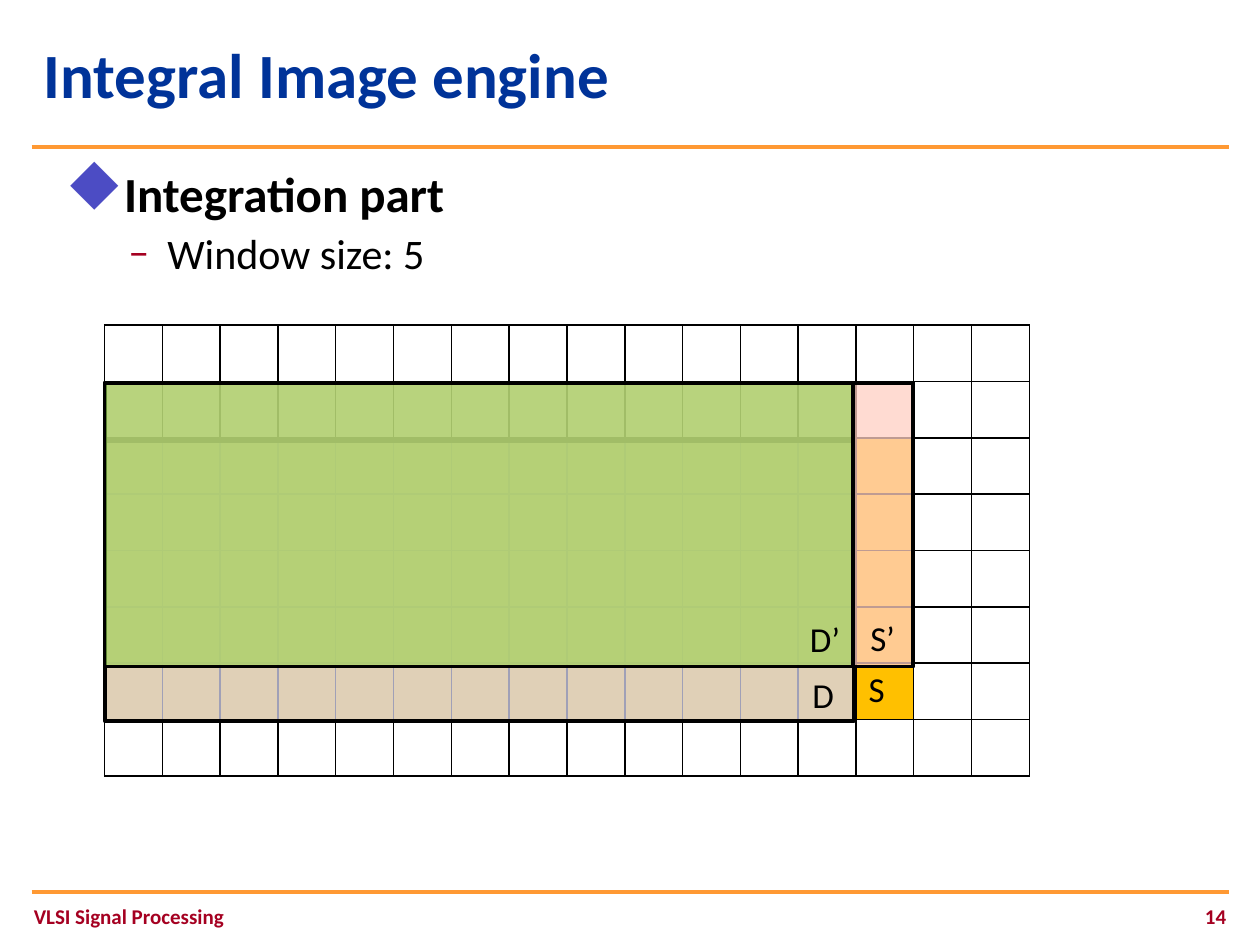
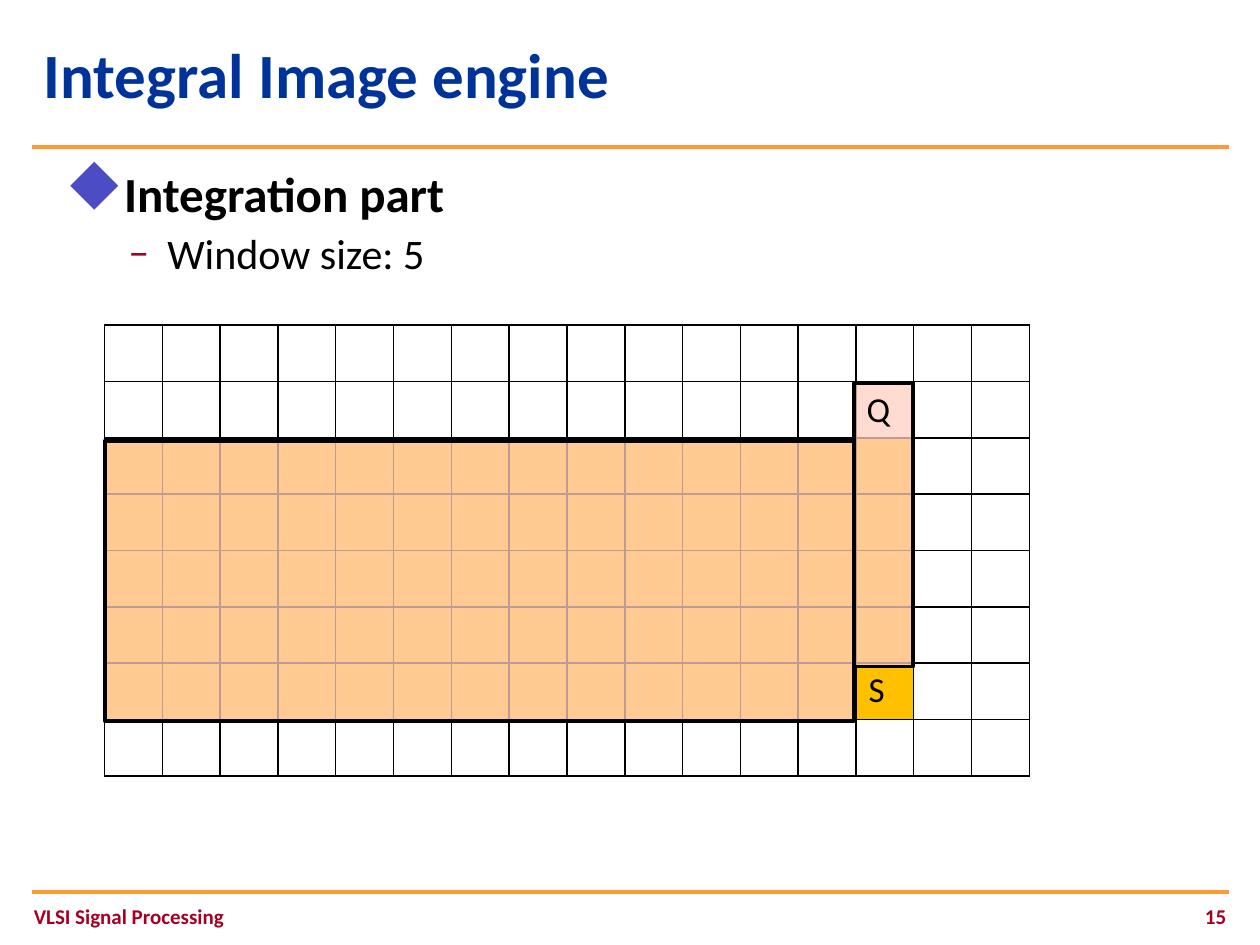
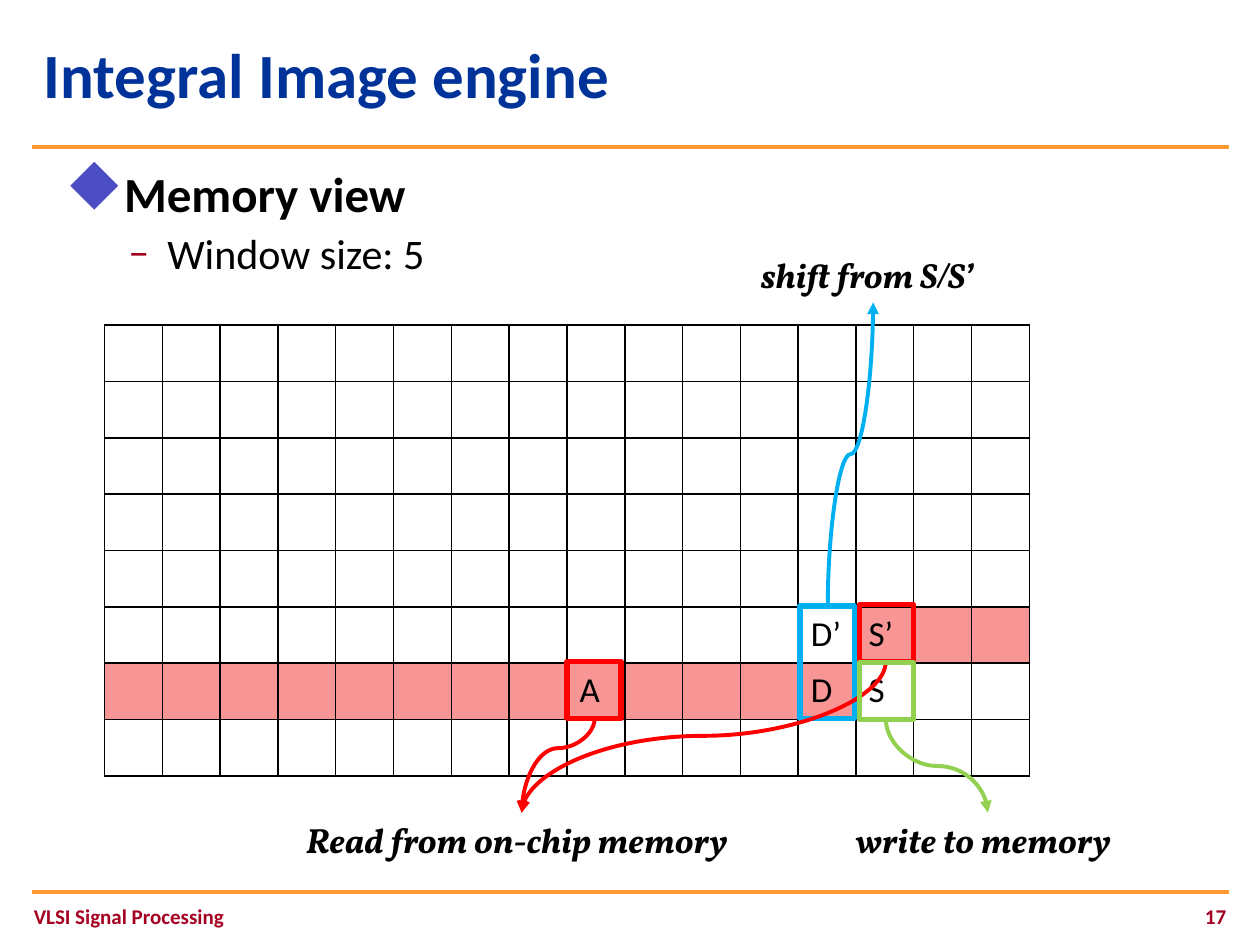
from dataclasses import dataclass
from itertools import product
from lxml.etree import SubElement
from pptx import Presentation
from pptx.dml.color import RGBColor
from pptx.enum.shapes import MSO_CONNECTOR, MSO_SHAPE
from pptx.enum.text import MSO_ANCHOR, MSO_AUTO_SIZE, PP_ALIGN
from pptx.oxml.ns import qn
from pptx.util import Inches, Pt


@dataclass(frozen=True)
class Theme:
    navy: str = "003399"
    wine: str = "A50021"
    iris: str = "4C4CC4"
    rule: str = "FF9933"
    ink: str = "000000"
    gold: str = "FFC000"
    rose: str = "F89696"
    peach: str = "FFD0C3"
    mist: str = "D6D6F5"
    green: str = "92D050"
    red: str = "FF0000"
    blue: str = "00B0F0"
    sans: str = "Calibri"
    serif: str = "Vollkorn"
    signs: str = "Wingdings"
    title: int = 36
    head: int = 28
    sub: int = 24
    label: int = 20
    foot: int = 12


T = Theme()


def write(para, words, color, form):
    para.text = words
    para.font.color.rgb = RGBColor.from_string(color)
    for key, val in form.items():
        setattr(para.font, key, val)


def add_text(slide, at, words, color, form, frame, lay):
    box = slide.shapes.add_textbox(*map(Inches, at)).text_frame
    for key, val in frame.items():
        setattr(box, key, val)
    para = box.paragraphs[0]
    for key, val in lay.items():
        setattr(para, key, val)
    write(para, words, color, form)


bold = {"name": T.sans, "bold": True}
title = {**bold, "size": Pt(T.title)}
foot = {**bold, "size": Pt(T.foot)}
label = {"name": T.sans, "size": Pt(T.label), "bold": False, "italic": False}
note = {"name": T.serif, "size": Pt(T.label), "bold": True, "italic": True}
snug = {"word_wrap": False, "auto_size": MSO_AUTO_SIZE.SHAPE_TO_FIT_TEXT}
low = {"word_wrap": True, "margin_top": Inches(0.25)}
mid = {"word_wrap": True, "vertical_anchor": MSO_ANCHOR.MIDDLE}

levels = [
    ({"typeface": T.signs, "charset": "2"}, "u", T.iris, 120, 0.38, -0.38,
     {**bold, "size": Pt(T.head)}, {"space_after": Pt(1.4)}),
    ({"typeface": T.sans}, "–", T.wine, 100, 0.81, -0.31,
     {**label, "size": Pt(T.sub)}, {"space_before": Pt(1.2), "space_after": Pt(1.2)}),
]

left, top, side, span = 0.83, 2.58, 8, (3.67, 3.58)
window = [(T.gold, range(2, 7), range(14))]
stored = [(T.rose, range(6, 7), range(13)), (T.rose, range(5, 6), range(13, 16))]

pages = [
    ("14", "Integration part", window, {(6, 13): "S"}, [
        ("box", (0.83, 3.5, 5.95, 2.22), T.mist, 75, T.ink, 2.25),
        ("box", (0.83, 3.04, 6.42, 2.25), T.peach, 75, T.ink, 2.25),
        ("text", (6.35, 5.3, 0.37, 0.44), "D", label),
        ("text", (6.81, 4.84, 0.4, 0.44), "S’", label),
        ("box", (0.83, 3.04, 5.94, 2.25), T.green, 65, T.ink, 2.25),
        ("text", (6.33, 4.85, 0.44, 0.44), "D’", label),
    ]),
    ("15", "Integration part", window, {(6, 13): "S"}, [
        ("box", (0.83, 3.5, 5.95, 2.22), T.peach, 75, T.ink, 2.25),
        ("box", (6.78, 3.04, 0.47, 2.25), T.peach, 75, T.ink, 2.25),
        ("text", (6.78, 3.03, 0.4, 0.44), "Q", label),
    ]),
    ("17", "Memory view", stored,
     {(5, 12): "D’", (5, 13): "S’", (6, 8): "A", (6, 12): "D", (6, 13): "S"}, [
        ("box", (6.82, 4.8, 0.43, 0.45), None, 0, T.red, 3),
        ("box", (4.5, 5.25, 0.43, 0.45), None, 0, T.red, 3),
        ("text", (2.33, 6.45, 3.6, 0.44), "Read from on-chip memory", note),
        ("curve", (4.72, 5.7), (4.14, 6.45), T.red, 31700),
        ("box", (6.35, 4.81, 0.43, 0.89), None, 0, T.blue, 3),
        ("curve", (7.03, 5.25), (4.14, 6.45), T.red, 49200),
        ("text", (5.94, 1.96, 1.99, 0.44), "shift from S/S’", note),
        ("curve", (6.57, 4.81), (6.93, 2.4), T.blue, 50000),
        ("box", (6.82, 5.26, 0.43, 0.45), None, 0, T.green, 3),
        ("text", (6.69, 6.45, 2.29, 0.44), "write to memory", note),
        ("curve", (7.03, 5.71), (7.84, 6.45), T.green, 50000),
    ]),
]

deck = Presentation()
deck.slide_width, deck.slide_height = Inches(10), Inches(7.5)

for number, topic, fills, names, items in pages:
    slide = deck.slides.add_slide(deck.slide_layouts[6])
    shapes = slide.shapes

    for y in (7.08, 1.17):
        rule = shapes.add_connector(
            MSO_CONNECTOR.STRAIGHT, Inches(0.25), Inches(y), Inches(9.75), Inches(y))
        rule.line.color.rgb = RGBColor.from_string(T.rule)
        rule.line.width = Pt(2.25)
        SubElement(rule.element.spPr, qn("a:effectLst"))

    add_text(slide, (0.25, 0.17, 9.5, 0.92), "Integral Image engine", T.navy, title,
             mid, {"line_spacing": 0.85})

    body = shapes.add_textbox(*map(Inches, (0.42, 1.25, 9.17, 5.67))).text_frame
    body.word_wrap = True
    body.add_paragraph()
    for para, words, level in zip(body.paragraphs, (topic, "Window size: 5"), levels):
        face, mark, color, size, margin, indent, form, gaps = level
        for key, val in gaps.items():
            setattr(para, key, val)
        props = para._p.get_or_add_pPr()
        props.set("marL", str(Inches(margin)))
        props.set("indent", str(Inches(indent)))
        SubElement(SubElement(props, qn("a:buClr")), qn("a:srgbClr"), val=color)
        SubElement(props, qn("a:buSzPct"), val=str(size * 1000))
        SubElement(props, qn("a:buFont"), face)
        SubElement(props, qn("a:buChar"), char=mark)
        write(para, words, T.ink, form)

    add_text(slide, (7.75, 6.92, 2.08, 0.5), number, T.wine, foot, low,
             {"alignment": PP_ALIGN.RIGHT})
    add_text(slide, (0.17, 6.92, 3.17, 0.5), "VLSI Signal Processing", T.wine, foot, low, {})

    for half in range(2):
        at = (left + half * span[0], top, *span)
        grid = shapes.add_table(side, side, *map(Inches, at)).table
        grid.first_row = grid.horz_banding = False
        for row, col in product(range(side), repeat=2):
            cell = grid.cell(row, col)
            spot = (row, col + half * side)
            props = cell._tc.get_or_add_tcPr()
            for edge in ("a:lnL", "a:lnR", "a:lnT", "a:lnB"):
                line = SubElement(props, qn(edge), w=str(Pt(1)))
                SubElement(SubElement(line, qn("a:solidFill")), qn("a:srgbClr"), val=T.ink)
            cell.fill.background()
            for color, rows, cols in fills:
                if spot[0] in rows and spot[1] in cols:
                    cell.fill.solid()
                    cell.fill.fore_color.rgb = RGBColor.from_string(color)
            if spot in names:
                write(cell.text_frame.paragraphs[0], names[spot], T.ink, label)

    for kind, *item in items:
        if kind == "text":
            at, words, form = item
            add_text(slide, at, words, T.ink, form, snug, {})
        elif kind == "box":
            at, fill, alpha, color, width = item
            box = shapes.add_shape(MSO_SHAPE.RECTANGLE, *map(Inches, at))
            box.shadow.inherit = False
            box.line.color.rgb = RGBColor.from_string(color)
            box.line.width = Pt(width)
            if fill:
                box.fill.solid()
                box.fill.fore_color.rgb = RGBColor.from_string(fill)
                tint = box.element.spPr.find(qn("a:solidFill"))[0]
                SubElement(tint, qn("a:alpha"), val=str(alpha * 1000))
            else:
                box.fill.background()
        else:
            (x1, y1), (x2, y2), color, bend = item
            right, up = x2 > x1, y2 < y1
            midx, midy = (x1 + x2) / 2, (y1 + y2) / 2
            dx = abs(y2 - y1) / 2 * (-1 if right else 1)
            dy = abs(x2 - x1) / 2 * (-1 if up else 1)
            ends = (midx - dx, midy - dy, midx + dx, midy + dy)
            curve = shapes.add_connector(MSO_CONNECTOR.CURVE, *map(Inches, ends))
            curve.line.color.rgb = RGBColor.from_string(color)
            curve.line.width = Pt(2.25)
            props = curve.element.spPr
            turn = 270 if right and not up else 90
            props.find(qn("a:xfrm")).set("rot", str(turn * 60000))
            guide = props.find(qn("a:prstGeom")).find(qn("a:avLst"))
            SubElement(guide, qn("a:gd"), name="adj1", fmla=f"val {bend}")
            SubElement(props.find(qn("a:ln")), qn("a:tailEnd"), type="triangle")
            SubElement(props, qn("a:effectLst"))

deck.save("out.pptx")
